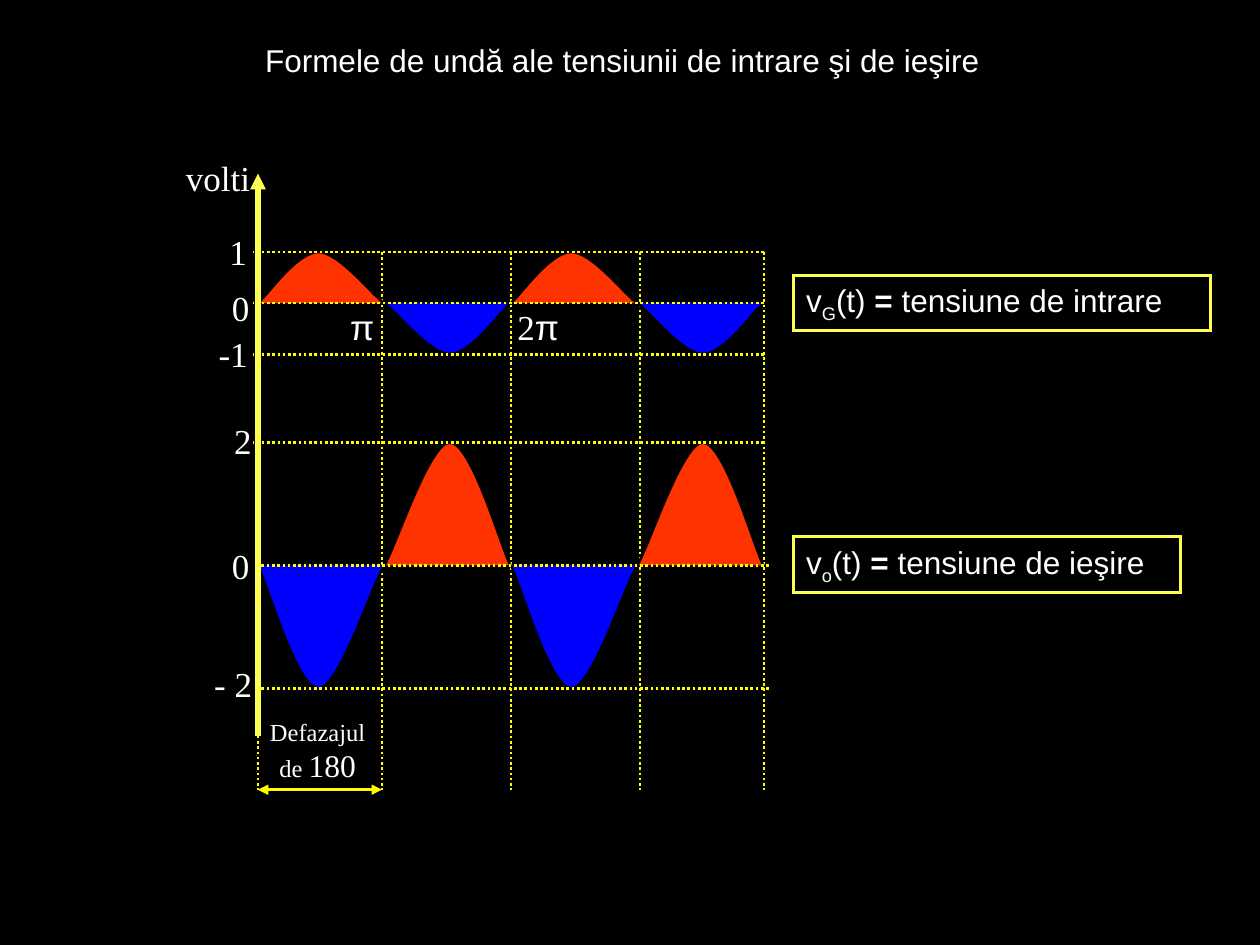
from dataclasses import dataclass

from lxml import etree
from pptx import Presentation
from pptx.dml.color import RGBColor
from pptx.enum.dml import MSO_LINE
from pptx.enum.shapes import MSO_CONNECTOR, MSO_SHAPE
from pptx.enum.text import MSO_ANCHOR, MSO_AUTO_SIZE, PP_ALIGN
from pptx.oxml.ns import qn
from pptx.util import Cm, Pt

STRAIGHT = MSO_CONNECTOR.STRAIGHT
RECTANGLE = MSO_SHAPE.RECTANGLE
DOTTED = MSO_LINE.ROUND_DOT
LEFT, CENTER = PP_ALIGN.LEFT, PP_ALIGN.CENTER
TITLE_ONLY = 5


@dataclass(frozen=True)
class Theme:
    background: RGBColor = RGBColor(0, 0, 0)
    text: RGBColor = RGBColor(255, 255, 255)
    grid: RGBColor = RGBColor(255, 255, 0)
    axis: RGBColor = RGBColor(255, 255, 79)
    positive: RGBColor = RGBColor(255, 51, 0)
    negative: RGBColor = RGBColor(0, 0, 255)
    sans: str = "Arial"
    serif: str = "Times New Roman"
    label: int = 20
    body: int = 18
    small: int = 14
    thin: float = 1.5
    thick: float = 3


THEME = Theme()

# Plot geometry in centimetres
GRID_X = (5.2, 7.7, 10.3, 12.9, 15.4)
GRID_LEFT, GRID_TOP, GRID_BOTTOM = 5.1, 5.08, 15.92
INPUT_ZERO, INPUT_PEAK = 6.11, 1.03
OUTPUT_ZERO, OUTPUT_PEAK = 11.4, 2.48
LOBE_WIDTH, LOBE_PITCH = 2.54, 2.55

# One half wave in a unit square: start, then two Bezier curves of three points
HALF_WAVE = ((0, 0), (0.08, 0.17), (0.31, 1), (0.48, 1),
             (0.64, 1), (0.89, 0.21), (1, 0))

# Labels: left, top, width, runs of (text, format)
SERIF, SANS = {"font": THEME.serif}, {"font": THEME.sans}
LABELS = (
    (3.2, 3.04, 2.39, [("volti", SERIF)]),
    (4.1, 4.52, 1.4, [("1", SERIF)]),
    (4, 5.66, 1.7, [("0", SERIF)]),
    (4, 6.58, 1.4, [("-1", SERIF)]),
    (6.2, 6.04, 2.21, [("π", SANS)]),
    (10, 6.04, 1.7, [("2", SERIF), ("π", SANS)]),
    (4.3, 8.33, 1.19, [("2", SERIF)]),
    (4, 10.85, 1.7, [("0", SERIF)]),
    (3.9, 13.23, 1.6, [("- 2", SERIF)]),
)


def write_text(shape, runs, size=THEME.label, align=CENTER):
    """Fill a shape with one paragraph of (text, format) runs."""
    frame = shape.text_frame
    frame.word_wrap = True
    frame.auto_size = MSO_AUTO_SIZE.NONE
    frame.vertical_anchor = MSO_ANCHOR.TOP
    paragraph = frame.paragraphs[0]
    paragraph.alignment = align
    for text, style in runs:
        run = paragraph.add_run()
        run.text = text
        run.font.name = style.get("font", THEME.sans)
        run.font.size = Pt(style.get("size", size))
        run.font.bold = style.get("bold", False)
        run.font.color.rgb = THEME.text
        if "baseline" in style:
            run.font._element.set("baseline", str(style["baseline"]))


def add_text(slide, left, top, width, runs, height=1.12, **style):
    box = slide.shapes.add_textbox(Cm(left), Cm(top), Cm(width), Cm(height))
    write_text(box, runs, **style)


def add_line(slide, start, end, color=THEME.grid, width=THEME.thin,
             dash=None, arrows=()):
    """Draw a straight line; arrows names its ends, headEnd before tailEnd."""
    line = slide.shapes.add_connector(
        STRAIGHT, Cm(start[0]), Cm(start[1]), Cm(end[0]), Cm(end[1]))
    line.line.color.rgb = color
    line.line.width = Pt(width)
    if dash:
        line.line.dash_style = dash
    for end_name in arrows:
        arrow = etree.SubElement(line.line._get_or_add_ln(), qn(f"a:{end_name}"))
        arrow.set("type", "triangle")
    etree.SubElement(line._element.spPr, qn("a:effectLst"))


def curve_segments(shape):
    """Turn each three line segments of a freeform into one Bezier curve."""
    segments = list(shape._element.spPr.iter(qn("a:lnTo")))
    outline = segments[0].getparent()
    for first in range(0, len(segments), 3):
        curve = etree.SubElement(outline, qn("a:cubicBezTo"))
        for segment in segments[first:first + 3]:
            curve.append(segment[0])
            outline.remove(segment)


def add_lobe(slide, left, zero, height, mirrored):
    """Draw a half wave; a positive height rises above the zero line."""
    points = [(Cm(left + LOBE_WIDTH * (1 - x if mirrored else x)),
               Cm(zero - height * y)) for x, y in HALF_WAVE]
    builder = slide.shapes.build_freeform(*points[0])
    builder.add_line_segments(points[1:], close=False)
    lobe = builder.convert_to_shape()
    curve_segments(lobe)
    lobe.shadow.inherit = False
    lobe.fill.solid()
    lobe.fill.fore_color.rgb = THEME.positive if height > 0 else THEME.negative
    lobe.line.color.rgb = THEME.background
    lobe.line.width = Pt(THEME.thin)


def add_wave(slide, zero, first_height):
    for index in range(4):
        odd = index % 2 == 1
        add_lobe(slide, GRID_X[0] + index * LOBE_PITCH, zero,
                 -first_height if odd else first_height, odd)


def add_legend(slide, top, width, subscript, meaning):
    box = slide.shapes.add_shape(RECTANGLE, Cm(16), Cm(top), Cm(width), Cm(1.12))
    box.shadow.inherit = False
    box.fill.background()
    box.line.color.rgb = THEME.axis
    box.line.width = Pt(THEME.thin)
    corner = etree.SubElement(box.line._get_or_add_ln(), qn("a:miter"))
    corner.set("lim", "800000")
    runs = [("v", {}), (subscript, {"baseline": -25000}), ("(t)", {}),
            (" = ", {"bold": True}), (meaning, {})]
    write_text(box, runs, size=THEME.body, align=LEFT)


def add_title(slide, text):
    title = slide.shapes.title
    title.left, title.top = Cm(5.09), Cm(0.69)
    title.width, title.height = Cm(15.29), Cm(1.02)
    write_text(title, [(text, {})], size=THEME.body, align=LEFT)


def main():
    presentation = Presentation()
    presentation.slide_width, presentation.slide_height = Cm(25.4), Cm(19.05)
    slide = presentation.slides.add_slide(presentation.slide_layouts[TITLE_ONLY])
    slide.background.fill.solid()
    slide.background.fill.fore_color.rgb = THEME.background
    add_title(slide, "Formele de undă ale tensiunii de intrare şi de ieşire")

    # Vertical grid, waves, then horizontal grid on top
    for x in GRID_X:
        add_line(slide, (x, GRID_TOP), (x, GRID_BOTTOM), dash=DOTTED)
    add_wave(slide, INPUT_ZERO, INPUT_PEAK)
    add_wave(slide, OUTPUT_ZERO, -OUTPUT_PEAK)
    for zero, peak, shifts in ((INPUT_ZERO, INPUT_PEAK, (0, 0, 0)),
                               (OUTPUT_ZERO, OUTPUT_PEAK, (0, 0.1, 0.1))):
        for level, shift in zip((-1, 0, 1), shifts):
            y = zero + level * peak
            add_line(slide, (GRID_X[-1] + shift, y), (GRID_LEFT + shift, y),
                     dash=DOTTED)

    # Voltage axis and its labels
    add_line(slide, (GRID_X[0], 14.83), (GRID_X[0], 3.5), color=THEME.axis,
             width=THEME.thick, arrows=("tailEnd",))
    for left, top, width, runs in LABELS:
        add_text(slide, left, top, width, runs)

    # Phase shift
    add_line(slide, (GRID_X[0], GRID_BOTTOM), (GRID_X[1], GRID_BOTTOM),
             arrows=("headEnd", "tailEnd"))
    add_text(slide, 5.01, 14.33, 2.79,
             [("Defazajul de ", SERIF), ("180", {**SERIF, "size": THEME.body})],
             height=1.63, size=THEME.small)

    # Legends
    add_legend(slide, 5.55, 8.41, "G", "tensiune de intrare")
    add_legend(slide, 10.82, 7.8, "o", "tensiune de ieşire")

    presentation.save("out.pptx")


if __name__ == "__main__":
    main()
